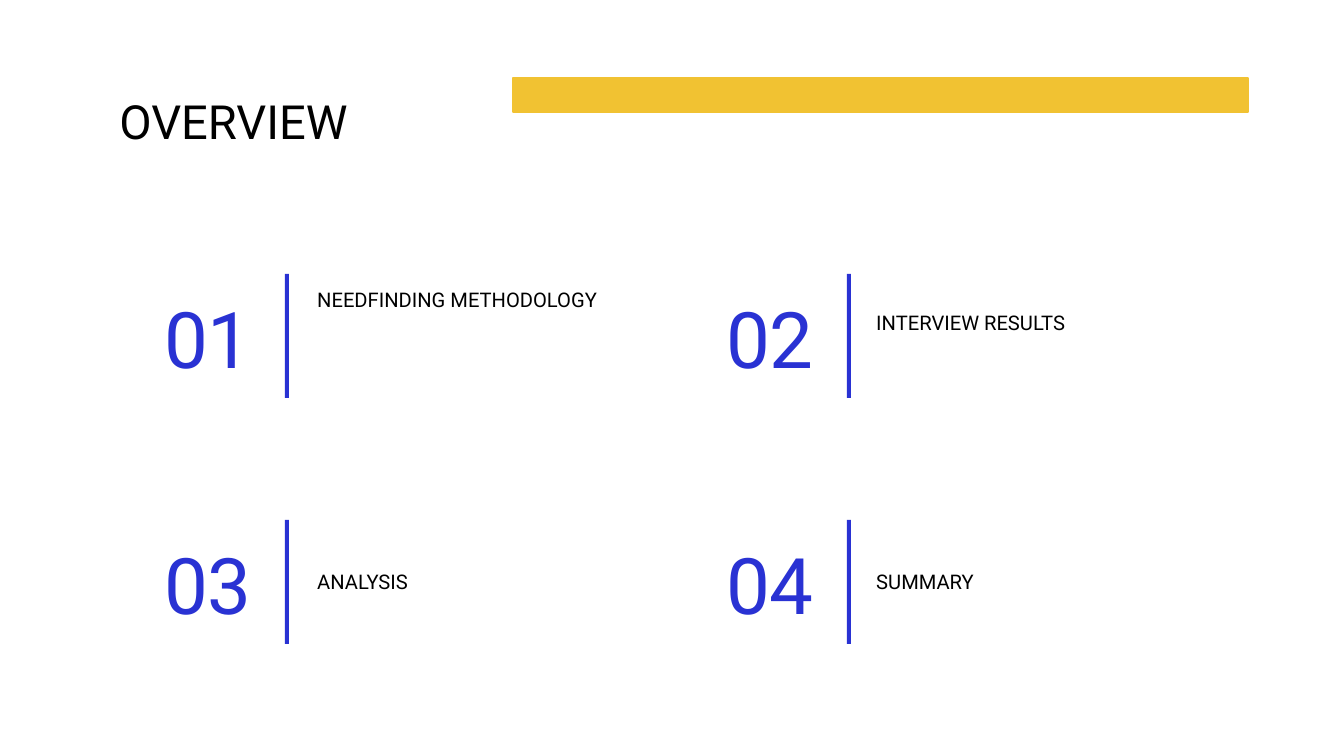
from dataclasses import dataclass
from typing import NamedTuple

from pptx import Presentation
from pptx.dml.color import RGBColor
from pptx.enum.shapes import MSO_SHAPE
from pptx.enum.text import MSO_ANCHOR as Anchor, MSO_AUTO_SIZE as AutoSize, PP_ALIGN as Align
from pptx.shapes.autoshape import Shape
from pptx.slide import Slide
from pptx.util import Emu, Inches, Pt

SLIDE_WIDTH, SLIDE_HEIGHT = 1344, 756
EMU_PER_PX = Inches(10) / SLIDE_WIDTH
INSET = Inches(0.1)


@dataclass(frozen=True)
class Theme:
    font: str = "Roboto"
    background: RGBColor = RGBColor(0xFF, 0xFF, 0xFF)
    text: RGBColor = RGBColor(0x00, 0x00, 0x00)
    accent: RGBColor = RGBColor(0x29, 0x32, 0xD3)
    banner: RGBColor = RGBColor(0xF1, 0xC2, 0x32)
    title_size: float = 25.2
    number_size: float = 41.8
    label_size: float = 10.8


class Box(NamedTuple):
    left: int
    top: int
    width: int
    height: int


class Topic(NamedTuple):
    number: str
    label: str
    column: int
    row: int
    label_top: int
    anchor: Anchor


THEME = Theme()
TITLE_BOX = Box(106, 79, 439, 85)
BANNER_BOX = Box(513, 78, 735, 34)

GRID_LEFT, GRID_TOP = 129, 274
COLUMN_STEP, ROW_STEP = 562, 246
NUMBER_WIDTH, ROW_HEIGHT = 136, 124
DIVIDER_OFFSET, DIVIDER_WIDTH = 156, 4
LABEL_LEFTS = (304, 863)
LABEL_WIDTH, LABEL_HEIGHT = 371, 50

TOPICS = (
    Topic("01", "NEEDFINDING METHODOLOGY", 0, 0, 274, Anchor.TOP),
    Topic("02", "INTERVIEW RESULTS", 1, 0, 297, Anchor.TOP),
    Topic("03", "ANALYSIS", 0, 1, 556, Anchor.MIDDLE),
    Topic("04", "SUMMARY", 1, 1, 556, Anchor.MIDDLE),
)


def px(length: int) -> Emu:
    return Emu(round(length * EMU_PER_PX))


def write_text(shape: Shape, text: str, size: float, color: RGBColor,
               align: Align = Align.LEFT, anchor: Anchor = Anchor.TOP) -> None:
    frame = shape.text_frame
    frame_format = {
        "word_wrap": True, "auto_size": AutoSize.NONE, "vertical_anchor": anchor,
        "margin_left": INSET, "margin_top": INSET,
        "margin_right": INSET, "margin_bottom": INSET,
    }
    for name, value in frame_format.items():
        setattr(frame, name, value)
    paragraph = frame.paragraphs[0]
    paragraph.alignment = align
    run = paragraph.add_run()
    run.text = text
    for name, value in {"name": THEME.font, "size": Pt(size)}.items():
        setattr(run.font, name, value)
    run.font.color.rgb = color


def add_text(slide: Slide, box: Box, text: str, size: float, color: RGBColor,
             align: Align = Align.LEFT, anchor: Anchor = Anchor.TOP) -> None:
    shape = slide.shapes.add_textbox(*map(px, box))
    write_text(shape, text, size, color, align, anchor)


def add_bar(slide: Slide, box: Box, color: RGBColor) -> Shape:
    bar = slide.shapes.add_shape(MSO_SHAPE.RECTANGLE, *map(px, box))
    bar.shadow.inherit = False
    bar.fill.solid()
    bar.fill.fore_color.rgb = color
    bar.line.fill.background()
    return bar


def add_title(slide: Slide, text: str) -> None:
    title = slide.shapes.title
    for name, value in TITLE_BOX._asdict().items():
        setattr(title, name, px(value))
    write_text(title, text, THEME.title_size, THEME.text)


def add_topic(slide: Slide, topic: Topic) -> None:
    """Draw a large number, its divider and its label."""
    left = GRID_LEFT + topic.column * COLUMN_STEP
    top = GRID_TOP + topic.row * ROW_STEP
    add_text(slide, Box(left, top, NUMBER_WIDTH, ROW_HEIGHT), topic.number,
             THEME.number_size, THEME.accent, Align.RIGHT, Anchor.BOTTOM)
    add_bar(slide, Box(left + DIVIDER_OFFSET, top, DIVIDER_WIDTH, ROW_HEIGHT), THEME.accent)
    label_box = Box(LABEL_LEFTS[topic.column], topic.label_top, LABEL_WIDTH, LABEL_HEIGHT)
    add_text(slide, label_box, topic.label, THEME.label_size, THEME.text, anchor=topic.anchor)


def main() -> None:
    presentation = Presentation()
    presentation.slide_width = px(SLIDE_WIDTH)
    presentation.slide_height = px(SLIDE_HEIGHT)
    slide = presentation.slides.add_slide(presentation.slide_layouts.get_by_name("Title Only"))
    slide.background.fill.solid()
    slide.background.fill.fore_color.rgb = THEME.background

    add_title(slide, "OVERVIEW")
    for topic in TOPICS:
        add_topic(slide, topic)
    banner = add_bar(slide, BANNER_BOX, THEME.banner)
    banner.line.color.rgb = THEME.banner
    banner.line.width = Pt(0.75)
    presentation.save("out.pptx")


if __name__ == "__main__":
    main()
